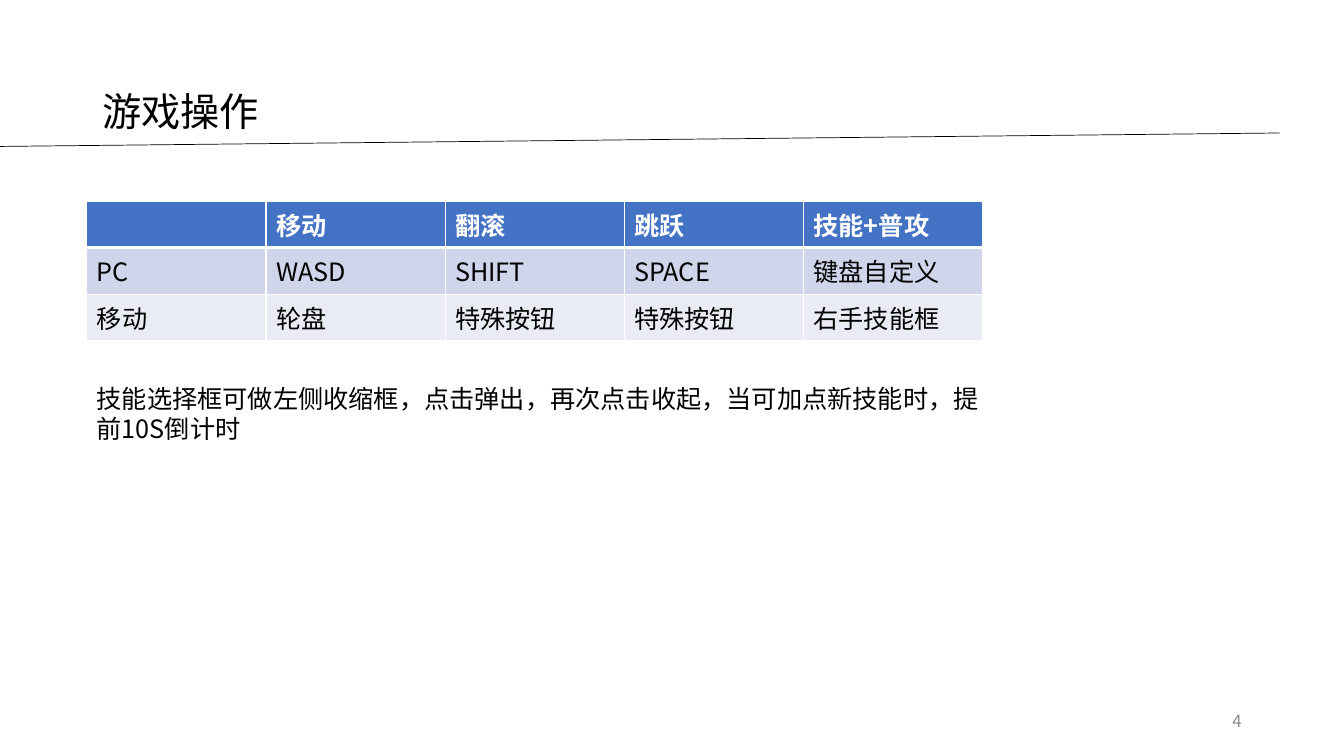
from dataclasses import dataclass

from lxml import etree
from pptx import Presentation, util as u
from pptx.dml.color import RGBColor
from pptx.enum import shapes, text
from pptx.oxml import ns


@dataclass(frozen=True)
class Theme:
    font: str = "Noto Sans CJK SC"
    black: str = "000000"
    white: str = "FFFFFF"
    grey: str = "8C8C8C"
    header: str = "4472C4"
    bands: tuple[str, str] = ("CFD5EA", "E9EBF5")
    title_size: float = 28
    body_size: float = 18
    number_size: float = 12


@dataclass(frozen=True)
class TextBlock:
    content: str
    left: float
    top: float
    width: float
    height: float
    size: float
    color: str
    anchor: text.MSO_ANCHOR = text.MSO_ANCHOR.MIDDLE
    align: text.PP_ALIGN = text.PP_ALIGN.LEFT
    spacing: float = 1.0
    grow: bool = False


THEME = Theme()
BLOCKS = [
    TextBlock("游戏操作", 66, 28.8, 828, 104.4, THEME.title_size, THEME.black, spacing=0.9),
    TextBlock("4", 678, 500.4, 216, 28.8, THEME.number_size, THEME.grey,
              align=text.PP_ALIGN.RIGHT),
    TextBlock("技能选择框可做左侧收缩框，点击弹出，再次点击收起，当可加点新技能时，提前10S倒计时",
              62, 270, 648.7, 51, THEME.body_size, THEME.black,
              anchor=text.MSO_ANCHOR.TOP, grow=True),
]
CONTROLS = [
    ["", "移动", "翻滚", "跳跃", "技能+普攻"],
    ["PC", "WASD", "SHIFT", "SPACE", "键盘自定义"],
    ["移动", "轮盘", "特殊按钮", "特殊按钮", "右手技能框"],
]


def format_runs(p, size: float, color: str, bold: bool = False) -> None:
    """Apply font, size, colour and weight to every run of a paragraph."""
    for r in p.runs:
        r.font.size = u.Pt(size)
        r.font.bold = bold
        r.font.color.rgb = RGBColor.from_string(color)
        r.font.name = THEME.font
        etree.SubElement(r.font._element, ns.qn("a:ea"), typeface=THEME.font)


def draw_text(slide, block: TextBlock) -> None:
    """Add a wrapped text box."""
    sp = slide.shapes.add_textbox(*map(u.Pt, (block.left, block.top, block.width, block.height)))
    tf = sp.text_frame
    tf.text = block.content
    tf.word_wrap = True
    tf.vertical_anchor = block.anchor
    if block.grow:
        tf.auto_size = text.MSO_AUTO_SIZE.SHAPE_TO_FIT_TEXT
    p = tf.paragraphs[0]
    p.alignment = block.align
    p.line_spacing = block.spacing
    format_runs(p, block.size, block.color)


def draw_rule(slide) -> None:
    """Add the slanted thin line under the title."""
    line = slide.shapes.add_connector(
        shapes.MSO_CONNECTOR.STRAIGHT, u.Pt(0), u.Pt(104.6), u.Pt(914), u.Pt(95))
    line.line.color.rgb = RGBColor.from_string(THEME.black)
    line.line.width = u.Pt(0.5)
    etree.SubElement(line._element.spPr, ns.qn("a:effectLst"))


def set_borders(cell, widths: dict[str, float]) -> None:
    """Add white borders to a cell, keyed by side."""
    tc_pr = cell._tc.get_or_add_tcPr()
    for side, width in widths.items():
        ln = etree.SubElement(tc_pr, ns.qn(f"a:ln{side}"), w=str(u.Pt(width)))
        fill = etree.SubElement(ln, ns.qn("a:solidFill"))
        etree.SubElement(fill, ns.qn("a:srgbClr"), val=THEME.white)


def draw_controls(slide, rows: list[list[str]]) -> None:
    """Add the table of controls by platform."""
    table = slide.shapes.add_table(
        len(rows), len(rows[0]), u.Pt(62), u.Pt(143.6), u.Pt(640), u.Pt(87.6)).table
    for i, row in enumerate(rows):
        is_header = i == 0
        fill = THEME.header if is_header else THEME.bands[(i - 1) % 2]
        color = THEME.white if is_header else THEME.black
        top = 3 if i == 1 else 1
        bottom = 3 if is_header else 1
        for j, label in enumerate(row):
            cell = table.cell(i, j)
            cell.text_frame.text = label
            p = cell.text_frame.paragraphs[0]
            p.font.size = u.Pt(THEME.body_size)
            format_runs(p, THEME.body_size, color, is_header)
            set_borders(cell, {"L": 1, "R": 1, "T": top, "B": bottom})
            cell.fill.solid()
            cell.fill.fore_color.rgb = RGBColor.from_string(fill)


def main() -> None:
    """Build and save the slide."""
    prs = Presentation()
    prs.slide_width, prs.slide_height = u.Pt(960), u.Pt(540)
    slide = prs.slides.add_slide(prs.slide_layouts[6])
    draw_rule(slide)
    draw_controls(slide, CONTROLS)
    for block in BLOCKS:
        draw_text(slide, block)
    prs.save("out.pptx")


if __name__ == "__main__":
    main()
